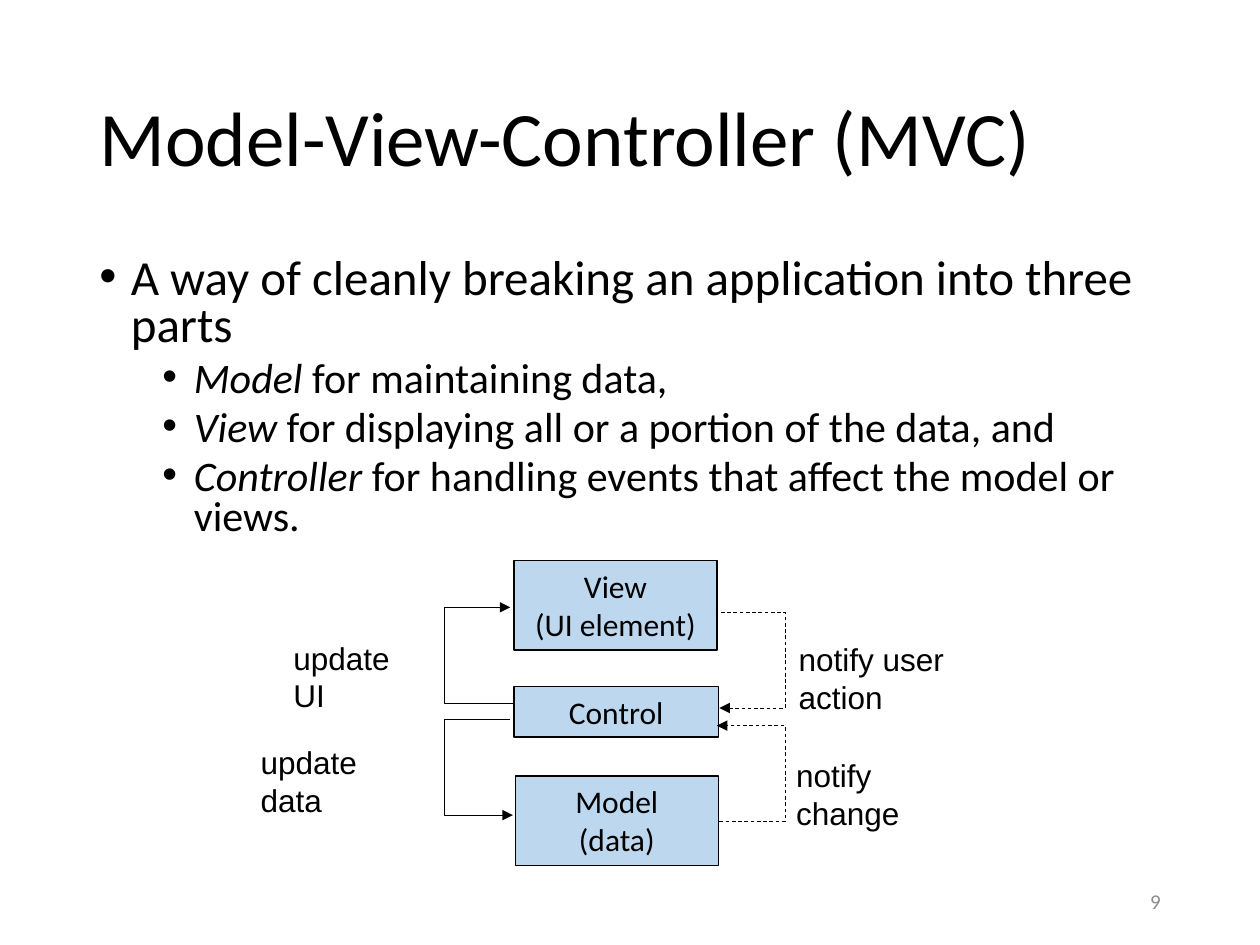
import pptx
import pptx.dml.color
import pptx.enum.dml
import pptx.enum.shapes
import pptx.enum.text
import pptx.oxml.ns
import pptx.util
import lxml.etree
from dataclasses import dataclass

COLUMNS, ROWS = 100, 75
ALIGN = pptx.enum.text.PP_ALIGN
ANCHOR = pptx.enum.text.MSO_ANCHOR


@dataclass(frozen=True)
class Theme:
    """Colours, fonts and type sizes of the slide."""
    ink: str = "000000"
    muted: str = "8C8C8C"
    box: str = "BDD7EE"
    font: str = "Calibri"
    label_font: str = "Arial"
    title: int = 44
    lead: int = 28
    point: int = 24
    label: int = 18
    number: int = 12


THEME = Theme()


def rgb(value):
    """Turn a hex string into a colour."""
    return pptx.dml.color.RGBColor.from_string(value)


def grid(prs, column, row):
    """Turn a grid position or extent into slide lengths."""
    return int(prs.slide_width * column / COLUMNS), int(prs.slide_height * row / ROWS)


def area(prs, column, row, columns, rows):
    """Turn a grid area into left, top, width and height."""
    return grid(prs, column, row) + grid(prs, columns, rows)


def sub(parent, tag, **attributes):
    """Append a drawing element with attributes."""
    element = lxml.etree.SubElement(parent, pptx.oxml.ns.qn(tag))
    for name, value in attributes.items():
        element.set(name, str(value))
    return element


def write(p, text, size=THEME.label, font=THEME.font, color=THEME.ink, italic=False):
    """Add a formatted run to a paragraph."""
    r = p.add_run()
    r.text = text
    r.font.size = pptx.util.Pt(size)
    r.font.name = font
    r.font.color.rgb = rgb(color)
    r.font.italic = italic


def paragraph(tf, first):
    """Return the first paragraph or a new one."""
    return tf.paragraphs[0] if first else tf.add_paragraph()


def add_text(prs, s, place, text, align=ALIGN.LEFT, anchor=ANCHOR.TOP, spacing=None, **style):
    """Add a wrapped text box with one paragraph."""
    tf = s.shapes.add_textbox(*area(prs, *place)).text_frame
    tf.word_wrap = True
    tf.vertical_anchor = anchor
    p = tf.paragraphs[0]
    p.alignment = align
    p.line_spacing = spacing
    write(p, text, **style)


def add_bullets(prs, s, place, points):
    """Add a bulleted list from level, emphasis and text."""
    tf = s.shapes.add_textbox(*area(prs, *place)).text_frame
    tf.word_wrap = True
    for i, (level, emphasis, text) in enumerate(points):
        p = paragraph(tf, i == 0)
        p.level = level
        p.line_spacing = 0.8
        p.space_before = pptx.util.Pt(5 if level else 10)
        pPr = p._p.get_or_add_pPr()
        pPr.set("marL", str(pptx.util.Inches(0.25 + 0.5 * level)))
        pPr.set("indent", str(pptx.util.Inches(-0.25)))
        sub(pPr, "a:buFont", typeface=THEME.label_font)
        sub(pPr, "a:buChar", char="•")
        size = THEME.point if level else THEME.lead
        if emphasis:
            write(p, emphasis, size=size, italic=True)
        write(p, text, size=size)


def add_box(prs, s, place, lines):
    """Add an outlined box with centred lines."""
    sp = s.shapes.add_shape(pptx.enum.shapes.MSO_SHAPE.RECTANGLE, *area(prs, *place))
    sp.shadow.inherit = False
    sp.fill.solid()
    sp.fill.fore_color.rgb = rgb(THEME.box)
    sp.line.color.rgb = rgb(THEME.ink)
    sp.line.width = pptx.util.Pt(0.75)
    tf = sp.text_frame
    tf.word_wrap = True
    tf.vertical_anchor = ANCHOR.TOP
    for i, line in enumerate(lines):
        p = paragraph(tf, i == 0)
        p.alignment = ALIGN.CENTER
        write(p, line)


def add_loop(prs, s, start, end, bend, arrow, dashed=False):
    """Add an elbow arrow that runs out to the bend column and back."""
    kind = pptx.enum.shapes.MSO_CONNECTOR.ELBOW
    sp = s.shapes.add_connector(kind, *grid(prs, *start), *grid(prs, *end))
    sp.line.color.rgb = rgb(THEME.ink)
    sp.line.width = pptx.util.Pt(0.5)
    if dashed:
        sp.line.dash_style = pptx.enum.dml.MSO_LINE.DASH
    spPr = sp._element.spPr
    sub(spPr.find(pptx.oxml.ns.qn("a:ln")), arrow, type="triangle")
    sub(spPr, "a:effectLst")
    share = round((bend - start[0]) / (end[0] - start[0]) * 100000)
    guides = spPr.find(".//" + pptx.oxml.ns.qn("a:avLst"))
    sub(guides, "a:gd", name="adj1", fmla=f"val {share}")


def main():
    """Build and save the slide."""
    prs = pptx.Presentation()
    prs.slide_width, prs.slide_height = pptx.util.Inches(10), pptx.util.Inches(7.5)
    s = prs.slides.add_slide(prs.slide_layouts[6])

    add_text(prs, s, (6.9, 4, 86.2, 14.5), "Model-View-Controller (MVC)",
             anchor=ANCHOR.MIDDLE, spacing=0.9, size=THEME.title)
    add_bullets(prs, s, (6.9, 20, 86.2, 24.7), [
        (0, "", "A way of cleanly breaking an application into three parts"),
        (1, "Model", " for maintaining data,"),
        (1, "View", " for displaying all or a portion of the data, and"),
        (1, "Controller ", "for handling events that affect the model or views."),
    ])

    for place, lines in [
        ((40.9, 61.6, 16.1, 7.1), ["Model", "(data)"]),
        ((40.8, 44.5, 16.1, 7.1), ["View", "(UI element)"]),
        ((40.8, 54.5, 16.2, 4), ["Control"]),
    ]:
        add_box(prs, s, place, lines)

    left, right, drop = 35.3, 62.3, 7.6
    for row, arrow in [(65.2, "a:tailEnd"), (56.2, "a:headEnd")]:
        add_loop(prs, s, (57.1, row), (56.9, row - drop), right, arrow, dashed=True)
    for row, arrow in [(48.2, "a:headEnd"), (57.1, "a:tailEnd")]:
        add_loop(prs, s, (40.5, row), (40.7, row + drop), left, arrow)

    for column, row, columns, text in [
        (22.3, 50.2, 12.4, "update UI"),
        (62.2, 59.5, 16.3, "notify change"),
        (62.4, 50.3, 20.3, "notify user action"),
        (19.7, 58.5, 14.4, "update data"),
    ]:
        add_text(prs, s, (column, row, columns, 4), text, font=THEME.label_font)

    add_text(prs, s, (70.6, 69.5, 22.5, 4), "9", align=ALIGN.RIGHT,
             anchor=ANCHOR.MIDDLE, size=THEME.number, color=THEME.muted)
    prs.save("out.pptx")


if __name__ == "__main__":
    main()
